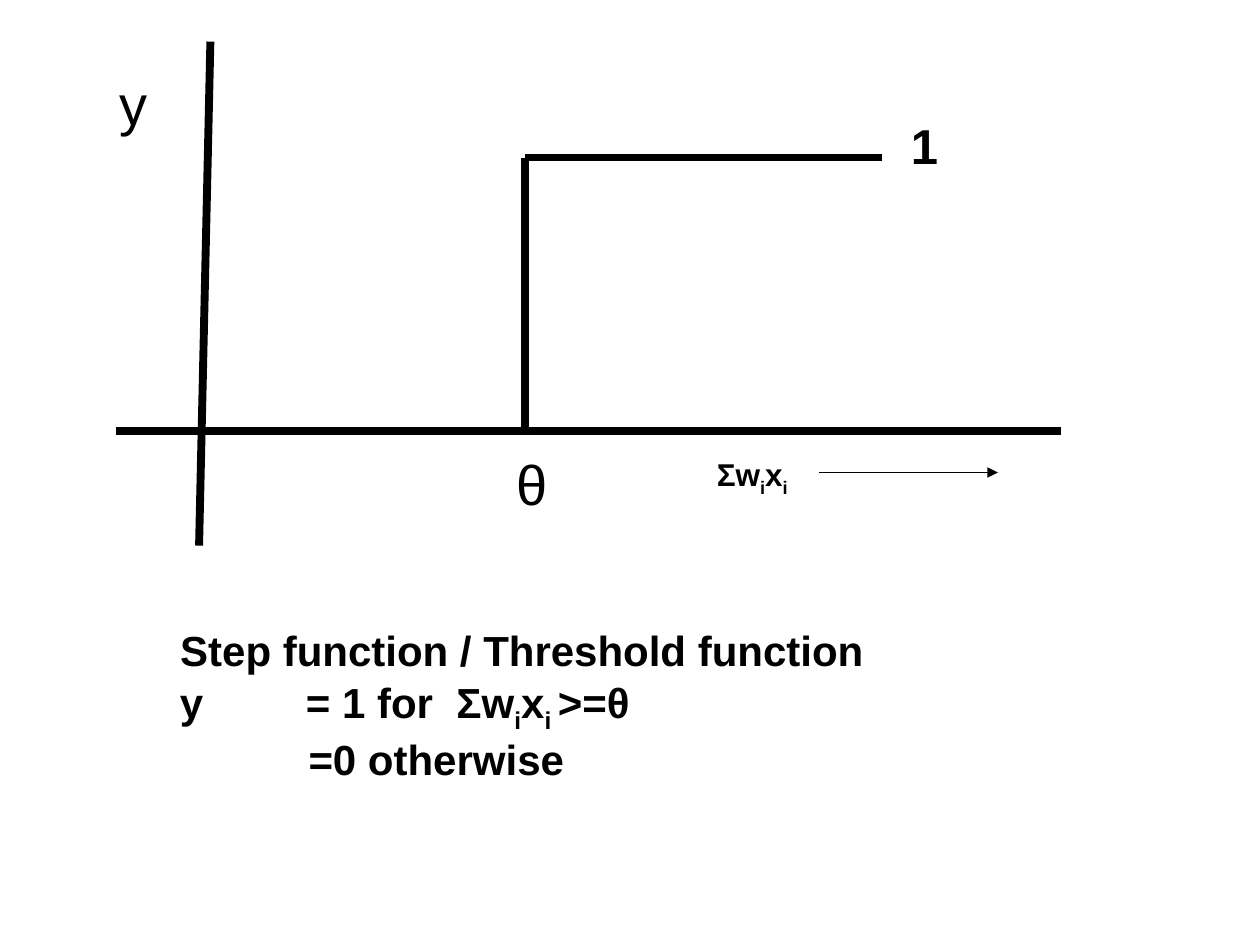
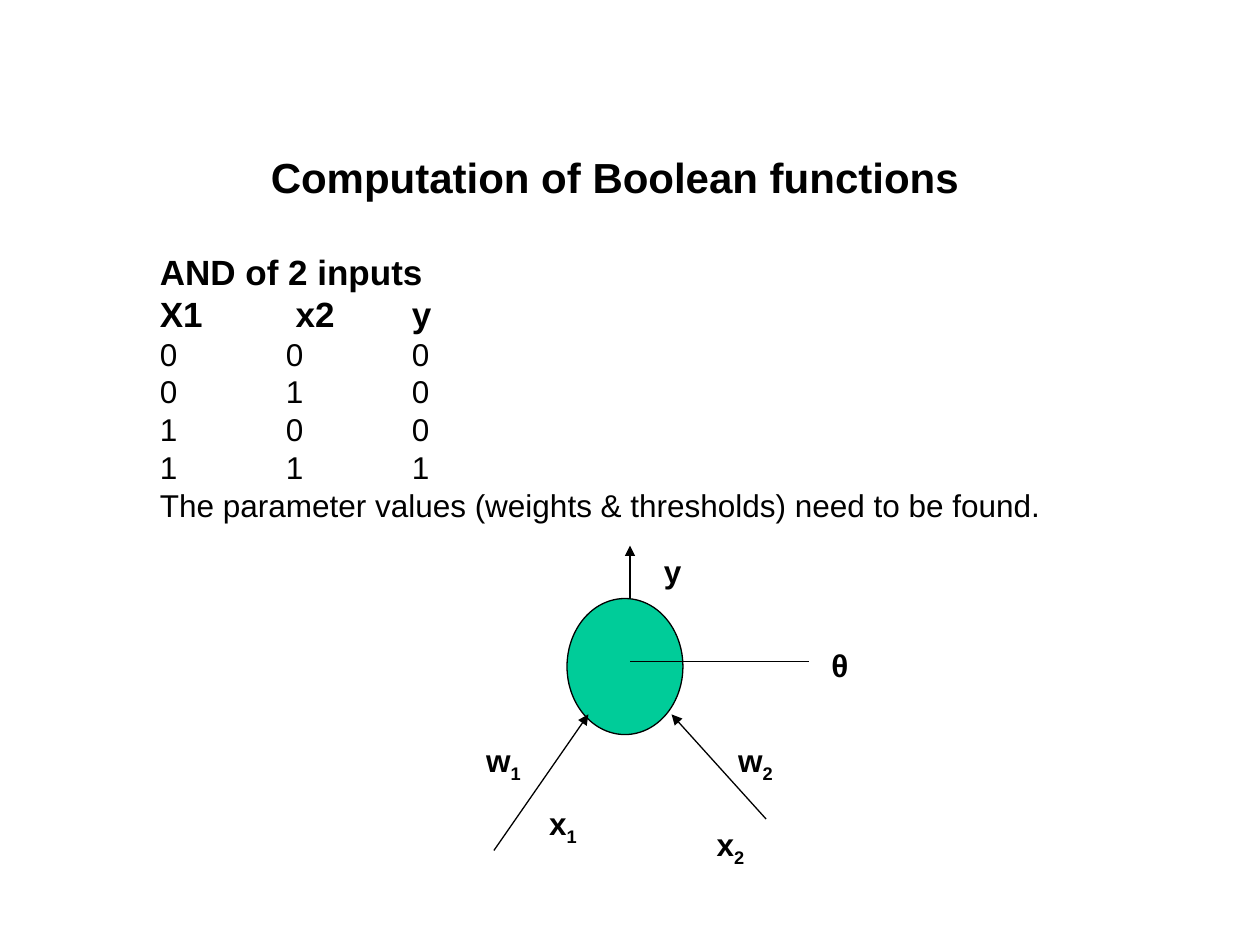
from dataclasses import dataclass

from lxml.etree import SubElement
from pptx import Presentation
from pptx.dml.color import RGBColor
from pptx.enum.shapes import MSO_CONNECTOR as Connector, MSO_SHAPE as Preset
from pptx.enum.text import MSO_ANCHOR as Anchor, MSO_AUTO_SIZE as AutoSize, PP_ALIGN as Align
from pptx.oxml.ns import qn
from pptx.util import Inches, Pt


@dataclass(frozen=True)
class Theme:
    font: str = "Arial"
    ink: RGBColor = RGBColor(0, 0, 0)
    neuron: RGBColor = RGBColor(0x00, 0xCC, 0x99)
    axis_label: int = 32
    level_label: int = 28
    title: int = 24
    heading: int = 20
    body: int = 18
    thick: float = 4.5
    thin: float = 0.75


THEME = Theme()
TITLE_ONLY = 5


# Shared text helpers
def add_runs(paragraph, text, size, bold):
    """Add text run by run; the character after each "_" is a subscript."""
    start, *rest = text.split("_")
    pieces = [(start, False)]
    for part in rest:
        pieces += [(part[0], True), (part[1:], False)]
    for piece, lowered in pieces:
        if not piece:
            continue
        run = paragraph.add_run()
        run.text = piece
        run.font.name, run.font.size, run.font.bold = THEME.font, Pt(size), bold
        run.font.color.rgb = THEME.ink
        if lowered:
            run._r.get_or_add_rPr().set("baseline", "-25000")


def set_layout(paragraph, indent):
    """Left indent in inches, with a tab stop at every inch."""
    properties = paragraph._p.get_or_add_pPr()
    properties.set("marL", str(Inches(indent)))
    properties.set("indent", "0")
    properties.set("defTabSz", str(Inches(1)))
    stops = SubElement(properties, qn("a:tabLst"))
    for inch in range(8):
        SubElement(stops, qn("a:tab"), pos=str(Inches(inch)), algn="l")


def fill_title(slide, box, text, align):
    title = slide.shapes.title
    title.left, title.top, title.width, title.height = map(Inches, box)
    frame = title.text_frame
    frame.word_wrap, frame.auto_size = True, AutoSize.NONE
    frame.vertical_anchor = Anchor.TOP
    paragraph = frame.paragraphs[0]
    paragraph.alignment = align
    add_runs(paragraph, text, THEME.title, True)


def add_tabbed_text(slide, box, lines):
    """Text in tabbed columns; each line is (text, size, bold, indent)."""
    frame = slide.shapes.add_textbox(*map(Inches, box)).text_frame
    frame.word_wrap = True
    for number, (text, size, bold, indent) in enumerate(lines):
        paragraph = frame.add_paragraph() if number else frame.paragraphs[0]
        set_layout(paragraph, indent)
        add_runs(paragraph, text, size, bold)


# Drawing helpers: points are inches from the origin of the region
def add_line(slide, origin, start, end, weight, arrow=False):
    ends = [Inches(o + p) for point in (start, end) for o, p in zip(origin, point)]
    line = slide.shapes.add_connector(Connector.STRAIGHT, *ends)
    line.line.color.rgb, line.line.width = THEME.ink, Pt(weight)
    if arrow:
        SubElement(line.line._get_or_add_ln(), qn("a:tailEnd"), type="triangle")
    SubElement(line._element.spPr, qn("a:effectLst"))


def add_label(slide, origin, at, size, text, points=THEME.body, bold=True):
    left, top = (o + p for o, p in zip(origin, at))
    label = slide.shapes.add_textbox(*map(Inches, (left, top, *size)))
    frame = label.text_frame
    frame.word_wrap, frame.auto_size = False, AutoSize.SHAPE_TO_FIT_TEXT
    add_runs(frame.paragraphs[0], text, points, bold)


# Regions
def draw_step_plot(slide, box):
    left, top, width, height = box
    origin = (left, top)
    base, level, threshold = 3.09, 0.92, 3.25

    # Axes and step
    for start, end in [
        ((0.75, 0), (0.66, height)),
        ((0, base), (width, base)),
        ((threshold, level), (threshold, base)),
        ((threshold, level), (6.08, level)),
    ]:
        add_line(slide, origin, start, end, THEME.thick)

    # Labels
    add_label(slide, origin, (3.08, 3.19), (0.45, 0.64), "θ", THEME.axis_label, False)
    add_label(slide, origin, (6.21, 0.54), (0.41, 0.57), "1", THEME.level_label)
    add_label(slide, origin, (-0.07, 0.17), (0.42, 0.64), "y", THEME.axis_label, False)
    add_label(slide, origin, (4.67, 3.23), (0.78, 0.44), "Σw_ix_i")
    add_line(slide, origin, (5.58, 3.42), (7, 3.42), THEME.thin, arrow=True)


def draw_neuron(slide, origin):
    left, top = origin
    cell = slide.shapes.add_shape(
        Preset.OVAL, Inches(left + 0.75), Inches(top + 0.42), Inches(0.92), Inches(1.08))
    cell.shadow.inherit = False
    cell.fill.solid()
    cell.fill.fore_color.rgb = THEME.neuron
    cell.line.color.rgb, cell.line.width = THEME.ink, Pt(THEME.thin)

    # Two inputs, output, threshold
    for start, end, arrow in [
        ((0.17, 2.42), (0.92, 1.34), True),
        ((2.33, 2.17), (1.58, 1.34), True),
        ((1.25, 0.42), (1.25, 0), True),
        ((1.25, 0.92), (2.67, 0.92), False),
    ]:
        add_line(slide, origin, start, end, THEME.thin, arrow)

    for text, at, size in [
        ("y", (1.42, 0), (0.34, 0.4)),
        ("w_1", (0.01, 1.5), (0.49, 0.44)),
        ("w_2", (2.01, 1.5), (0.49, 0.44)),
        ("x_1", (0.51, 2), (0.43, 0.44)),
        ("x_2", (1.84, 2.17), (0.43, 0.44)),
        ("θ", (2.75, 0.75), (0.33, 0.4)),
    ]:
        add_label(slide, origin, at, size, text)


# Slides
def build_step_function(deck):
    slide = deck.slides.add_slide(deck.slide_layouts[TITLE_ONLY])
    draw_step_plot(slide, (0.92, 0.33, 7.5, 4))
    fill_title(slide, (1.33, 4.91, 6.25, 0.48),
               "Step function / Threshold function", Align.LEFT)
    definition = [
        ("y\t= 1 for  Σw_ix_i\t>=θ", THEME.title, True, 0),
        ("=0 otherwise", THEME.title, True, 1.02),
    ]
    add_tabbed_text(slide, (1.33, 5.32, 6.25, 1.36), definition)


def build_boolean_functions(deck):
    slide = deck.slides.add_slide(deck.slide_layouts[TITLE_ONLY])
    left, width = 1.17, 7.42
    fill_title(slide, (left, 1.15, width, 0.48),
               "Computation of Boolean functions", Align.CENTER)
    headings = ["AND of 2 inputs", "X1\t x2\ty"]
    truth_rows = [f"{a}\t{b}\t{a & b}" for a in (0, 1) for b in (0, 1)]
    remark = "The parameter values (weights & thresholds) need to be found."
    lines = [(text, THEME.heading, True, 0) for text in headings]
    lines += [(text, THEME.body, False, 0) for text in truth_rows + [remark]]
    add_tabbed_text(slide, (left, 1.94, width, 2.27), lines)
    draw_neuron(slide, (3.75, 4.33))


deck = Presentation()
deck.slide_width, deck.slide_height = Inches(10), Inches(7.5)
build_step_function(deck)
build_boolean_functions(deck)
deck.save("out.pptx")
